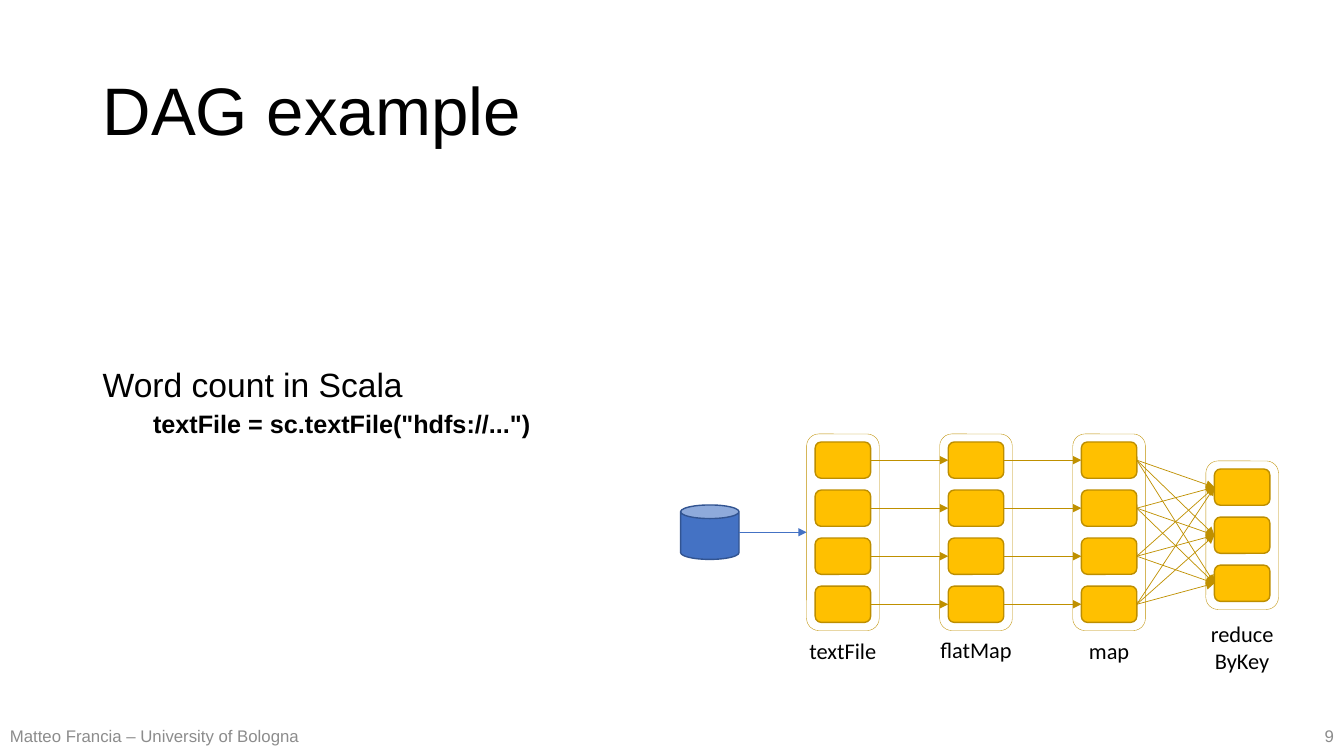
"""Build a slide showing the DAG of a word count in Scala."""
from itertools import product

from lxml.etree import SubElement
from pptx import Presentation
from pptx.dml.color import RGBColor
from pptx.enum.shapes import MSO_CONNECTOR, MSO_SHAPE
from pptx.enum.text import MSO_ANCHOR, MSO_AUTO_SIZE, PP_ALIGN
from pptx.oxml.ns import qn
from pptx.util import Inches, Pt

TITLE = "DAG example"
BODY = [
    ("Word count in Scala", dict(size=24, before=10)),
    ('textFile = sc.textFile("hdfs://...")', dict(size=18, before=5, bold=True, indent=0.5)),
]
AUTHOR = "Matteo Francia – University of Bologna"
PAGE_NUMBER = "9"
STAGES = [
    dict(label="textFile", tasks=4, middle=5.28, label_top=6.27),
    dict(label="flatMap", tasks=4, middle=5.28, label_top=6.26),
    dict(label="map", tasks=4, middle=5.28, label_top=6.27),
    dict(label="reduce\vByKey", tasks=3, middle=5.31, label_top=6.1),
]
COLORS = dict(text="000000", footer="8C8C8C", storage="4472C4", storage_line="325491",
              task="FFC000", task_line="BD8E00", flow="BF9000")

WIDTH, HEIGHT = 13.33, 7.5
MARGIN, CONTENT_WIDTH = 0.92, 11.5
FOOTER_TOP, FOOTER_HEIGHT = 7.1, 0.4
STAGE_LEFT, STAGE_WIDTH, STAGE_PITCH = 8, 0.72, 1.32
TASK_WIDTH, TASK_HEIGHT, TASK_PITCH = 0.55, 0.36, 1.43 / 3
PADDING = 0.08

deck = Presentation()
deck.slide_width, deck.slide_height = Inches(WIDTH), Inches(HEIGHT)
page = deck.slides.add_slide(deck.slide_layouts[6])


def color(name):
    return RGBColor.from_string(COLORS[name])


def write(para, text, size=12, font="Arial", fill="text", bold=False, align=PP_ALIGN.LEFT,
          spacing=1.0, before=0, indent=0):
    para.text = text
    para.alignment, para.line_spacing, para.space_before = align, spacing, Pt(before)
    if indent:
        para._p.get_or_add_pPr().set("marL", str(Inches(indent)))
    for span in para.runs:
        span.font.size, span.font.name, span.font.bold = Pt(size), font, bold
        span.font.color.rgb = color(fill)


def add_text(area, lines, wrap=True, anchor=MSO_ANCHOR.MIDDLE, **style):
    box = page.shapes.add_textbox(*map(Inches, area))
    frame = box.text_frame
    frame.word_wrap, frame.vertical_anchor = wrap, anchor
    frame.auto_size = MSO_AUTO_SIZE.NONE if wrap else MSO_AUTO_SIZE.SHAPE_TO_FIT_TEXT
    for index, (text, extra) in enumerate(lines):
        para = frame.add_paragraph() if index else frame.paragraphs[0]
        write(para, text, **{**style, **extra})


def add_block(kind, area, line, weight, fill=None):
    block = page.shapes.add_shape(kind, *map(Inches, area))
    block.shadow.inherit = False
    block.line.color.rgb, block.line.width = color(line), Pt(weight)
    if fill:
        block.fill.solid()
        block.fill.fore_color.rgb = color(fill)
    else:
        block.fill.background()
    return block


def add_arrow(source, target, line="flow"):
    arrow = page.shapes.add_connector(
        MSO_CONNECTOR.STRAIGHT, source.left + source.width, source.top + source.height // 2,
        target.left, target.top + target.height // 2)
    arrow.line.color.rgb, arrow.line.width = color(line), Pt(0.5)
    SubElement(arrow.line._get_or_add_ln(), qn("a:tailEnd"), type="triangle")
    SubElement(arrow._element.spPr, qn("a:effectLst"))


def add_stage(column, label, tasks, middle, label_top):
    left = STAGE_LEFT + column * STAGE_PITCH
    stack = (tasks - 1) * TASK_PITCH + TASK_HEIGHT
    top = middle - stack / 2
    frame = add_block(MSO_SHAPE.ROUNDED_RECTANGLE,
                      (left, top - PADDING, STAGE_WIDTH, stack + 2 * PADDING), "flow", 0.25)
    boxes = [add_block(MSO_SHAPE.ROUNDED_RECTANGLE,
                       (left + (STAGE_WIDTH - TASK_WIDTH) / 2, top + row * TASK_PITCH,
                        TASK_WIDTH, TASK_HEIGHT), "task_line", 1, "task")
             for row in range(tasks)]
    lines = label.count("\v") + 1
    add_text((left - 0.1, label_top, STAGE_WIDTH + 0.2, 0.1 + 0.27 * lines), [(label, {})],
             wrap=False, anchor=MSO_ANCHOR.TOP, size=16, font="Calibri", align=PP_ALIGN.CENTER)
    return frame, boxes


add_text((MARGIN, 0.4, CONTENT_WIDTH, 1.45), [(TITLE, {})], size=48, spacing=0.9)
add_text((MARGIN, 1.86, CONTENT_WIDTH, 4.28), BODY, spacing=0.9)
add_text((0, FOOTER_TOP, 3.1, FOOTER_HEIGHT), [(AUTHOR, {})], fill="footer")
add_text((WIDTH - 3, FOOTER_TOP, 3, FOOTER_HEIGHT), [(PAGE_NUMBER, {})],
         fill="footer", align=PP_ALIGN.RIGHT)

storage = add_block(MSO_SHAPE.CAN, (6.75, 5.01, 0.58, 0.54), "storage_line", 1, "storage")
stages = [add_stage(column, **stage) for column, stage in enumerate(STAGES)]
add_arrow(storage, stages[0][0], "storage")
for (_, sources), (_, targets) in zip(stages, stages[1:]):
    narrow = len(sources) == len(targets)
    for source, target in zip(sources, targets) if narrow else product(sources, targets):
        add_arrow(source, target)

deck.save("out.pptx")
